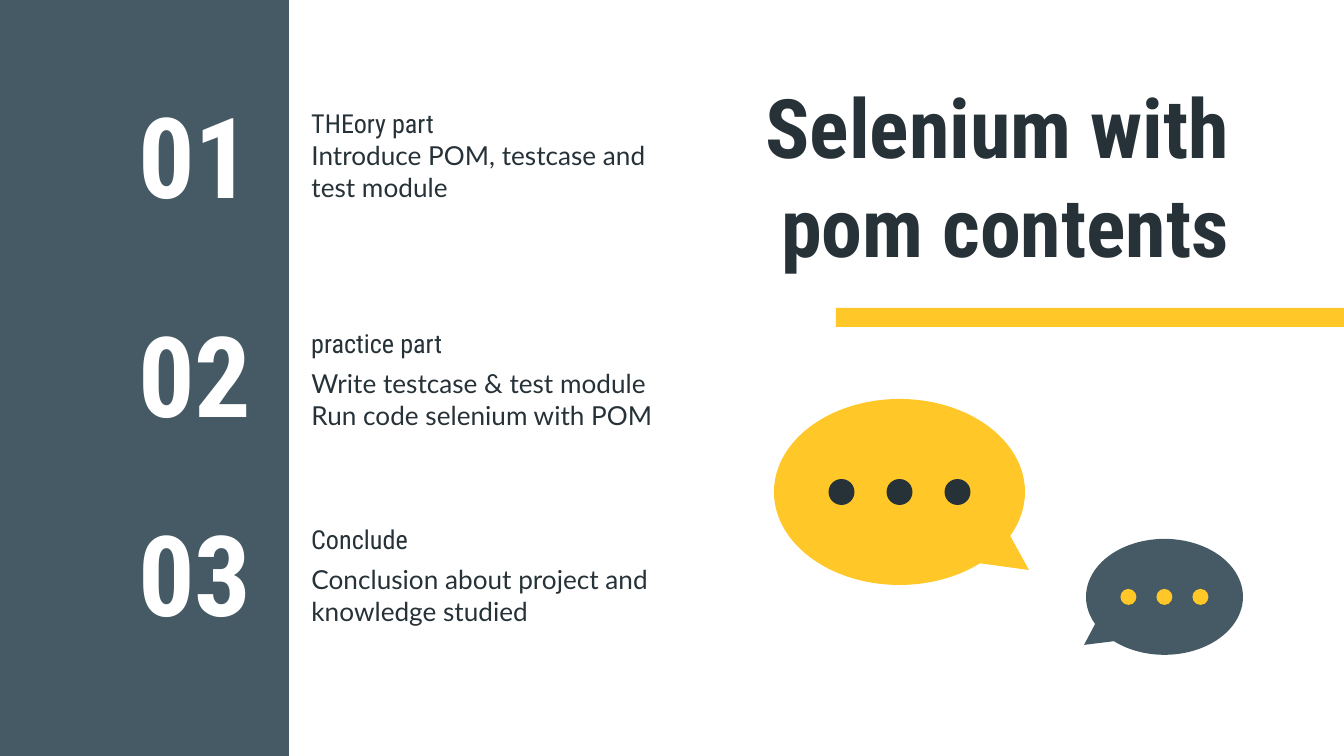
from pptx import Presentation
from pptx.dml.color import RGBColor
from pptx.enum.shapes import MSO_SHAPE
from pptx.enum.text import MSO_ANCHOR, MSO_AUTO_SIZE, PP_ALIGN
from pptx.oxml.ns import qn
from pptx.util import Emu, Pt

RECT, OVAL, CALLOUT = MSO_SHAPE.RECTANGLE, MSO_SHAPE.OVAL, MSO_SHAPE.OVAL_CALLOUT
LEFT, CENTER, RIGHT = PP_ALIGN.LEFT, PP_ALIGN.CENTER, PP_ALIGN.RIGHT
MIDDLE, NO_FIT = MSO_ANCHOR.MIDDLE, MSO_AUTO_SIZE.NONE
PX = 914400 / 134.4
COLORS = {"slate": "455A64", "ink": "263238", "yellow": "FFC727", "white": "FFFFFF"}
HEAD, BODY = "Roboto Condensed", "Lato"

# Content
TITLE = "Selenium with pom contents"
# number, heading, description lines, tops of number, heading and description
SECTIONS = [
    ("01", "THEory part", ["Introduce POM, testcase and test module"], (103, 97, 141)),
    ("02", "practice part",
     ["Write testcase & test module", "Run code selenium with POM"], (322, 317, 369)),
    ("03", "Conclude", ["Conclusion about project and knowledge studied"], (521, 513, 565)),
]
BARS = [((0, 0, 289, 758), "slate"), ((836, 308, 508, 19), "yellow")]
BUBBLES = [
    dict(box=(774, 399, 251, 186), tip=(1029, 570),
         dot=26, step=58, fill="yellow", dots="ink"),
    dict(box=(1086, 539, 157, 116), tip=(1084, 645),
         dot=16, step=36, fill="slate", dots="yellow"),
]


def emu(*lengths):
    return [Emu(round(n * PX)) for n in lengths]


def add_preset(shapes, kind, box, color):
    sp = shapes.add_shape(kind, *emu(*box))
    sp.shadow.inherit = False
    sp.fill.solid()
    sp.fill.fore_color.rgb = RGBColor.from_string(COLORS[color])
    sp.line.fill.background()
    return sp


def write(sp, box, lines, size, font, color, align=LEFT, bold=False):
    sp.left, sp.top, sp.width, sp.height = emu(*box)
    tf = sp.text_frame
    tf.word_wrap, tf.auto_size, tf.vertical_anchor = True, NO_FIT, MIDDLE
    tf.margin_left = tf.margin_right = tf.margin_top = tf.margin_bottom = Pt(7.2)
    for i, line in enumerate(lines):
        p = tf.paragraphs[0] if i == 0 else tf.add_paragraph()
        p.alignment, p.line_spacing = align, 1.0
        p.space_before = p.space_after = Pt(0)
        pPr = p._p.get_or_add_pPr()
        pPr.set("marL", "0")
        pPr.set("indent", "0")
        pPr.append(pPr.makeelement(qn("a:buNone"), {}))
        r = p.add_run()
        r.text = line
        r.font.size, r.font.name, r.font.bold = Pt(size), font, bold
        r.font.color.rgb = RGBColor.from_string(COLORS[color])


def add_text(*args, **kwargs):
    write(s.shapes.add_textbox(0, 0, 0, 0), *args, **kwargs)


def add_bubble(box, tip, dot, step, fill, dots):
    left, top, width, height = box
    cx, cy = left + width / 2, top + height / 2
    shapes = s.shapes.add_group_shape().shapes
    callout = add_preset(shapes, CALLOUT, box, fill)
    callout.adjustments[0] = (tip[0] - cx) / width
    callout.adjustments[1] = (tip[1] - cy) / height
    for i in (-1, 0, 1):
        dot_box = (cx + i * step - dot / 2, cy - dot / 2, dot, dot)
        add_preset(shapes, OVAL, dot_box, dots)


prs = Presentation()
prs.slide_width, prs.slide_height = emu(1344, 756)
s = prs.slides.add_slide(prs.slide_layouts.get_by_name("Comparison"))

# Panel and accent bar
for box, color in BARS:
    add_preset(s.shapes, RECT, box, color)

# Title
write(s.shapes.title, (713, 77, 530, 196), [TITLE], 44, HEAD, "ink", RIGHT, True)

# Numbered sections
bodies = [ph for ph in s.placeholders if ph.placeholder_format.idx in (1, 2, 3, 4)]
for (number, heading, lines, tops), body in zip(SECTIONS, bodies):
    number_top, heading_top, body_top = tops
    add_text((101, number_top, 188, 101), [number], 60, HEAD, "white", CENTER, True)
    add_text((298, heading_top, 396, 52), [heading], 14, HEAD, "ink")
    write(body, (298, body_top, 396, 60), lines, 14, BODY, "ink")
for spare in bodies[len(SECTIONS):]:
    spare.element.getparent().remove(spare.element)

# Speech bubbles
for bubble in BUBBLES:
    add_bubble(**bubble)

prs.save("out.pptx")
